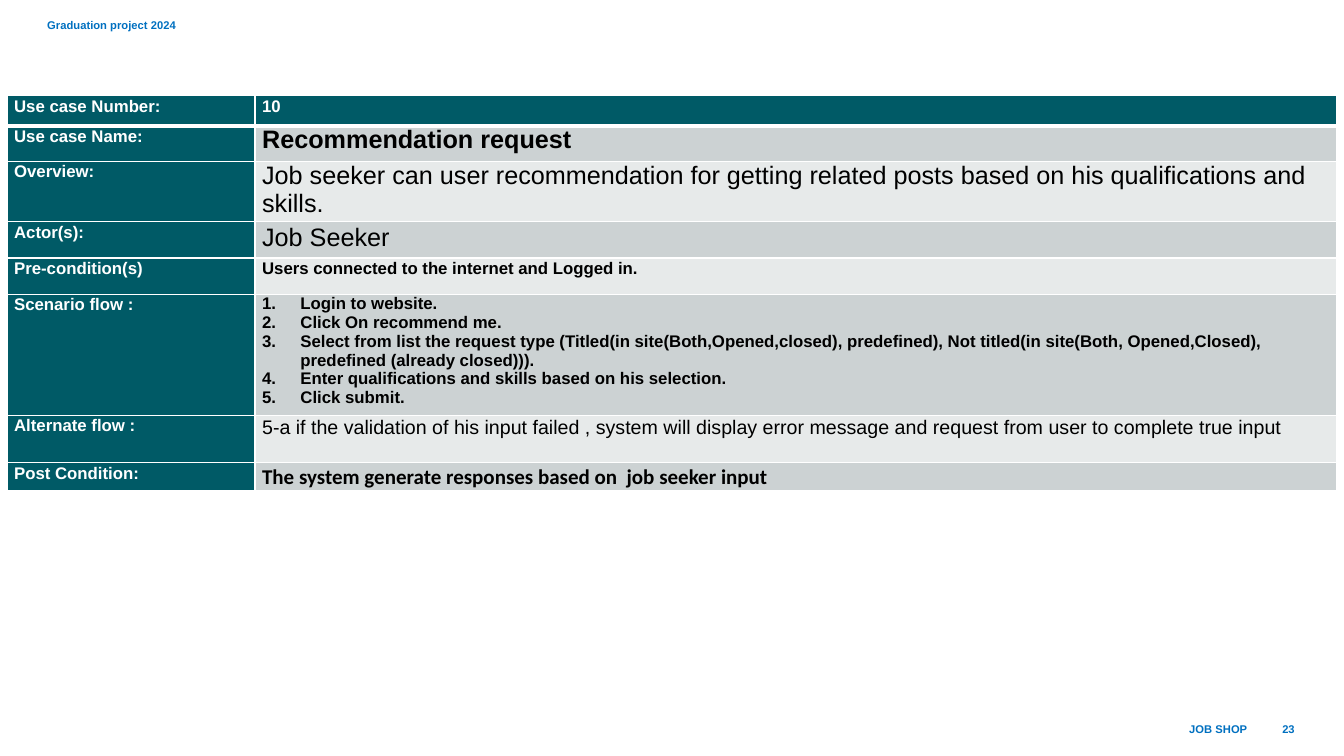
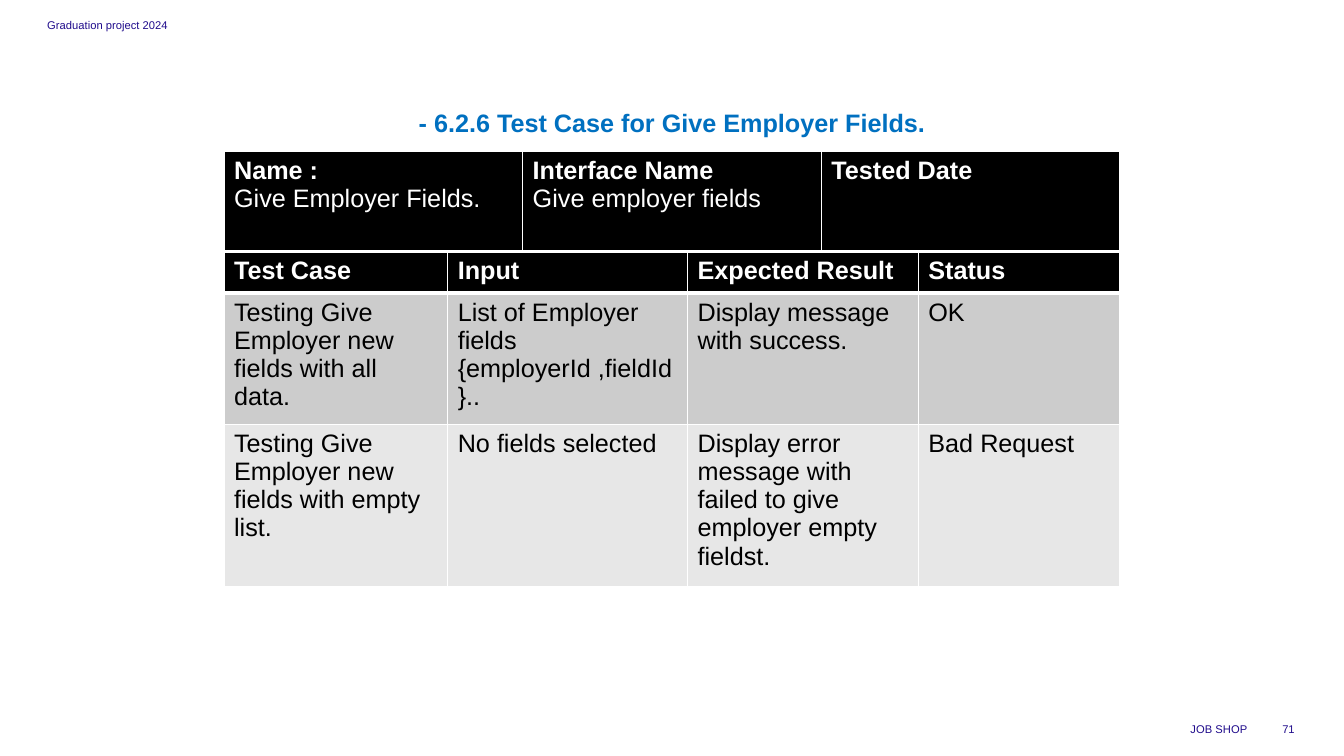
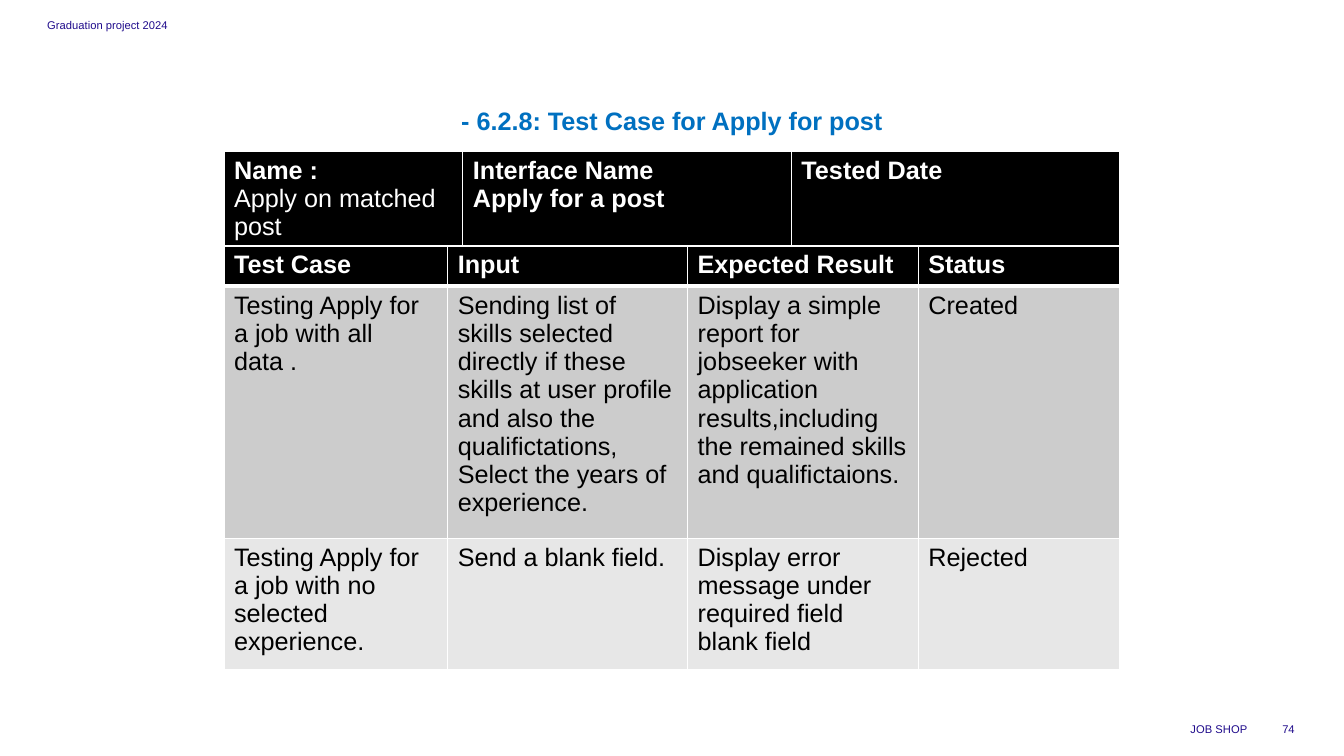
from dataclasses import dataclass
from typing import Optional, Sequence

from lxml import etree
from pptx import Presentation
from pptx.dml.color import RGBColor
from pptx.enum.text import MSO_ANCHOR, MSO_AUTO_SIZE, PP_ALIGN
from pptx.oxml.ns import qn
from pptx.util import Inches, Pt

LEFT, CENTER, RIGHT = PP_ALIGN.LEFT, PP_ALIGN.CENTER, PP_ALIGN.RIGHT
TOP, MIDDLE = MSO_ANCHOR.TOP, MSO_ANCHOR.MIDDLE
FIXED = MSO_AUTO_SIZE.NONE

SLIDE_W, SLIDE_H = 13.33, 7.5
TITLE_ONLY, BLANK = 5, 6
WHITE, BLACK = "FFFFFF", "000000"
BLUE, INDIGO, TEAL = "0070C0", "200C8C", "005A66"
TEAL_BANDS = ("CCD2D3", "E7EAEA")
GREY_BANDS = ("CCCCCC", "E7E7E7")
TEST_LEFT, TEST_W, TEST_TOP = SLIDE_W / 6, SLIDE_W * 2 / 3, 1.5
DETAIL_SHARES = (2.22, 2.38, 2.29, 2)
DETAIL_HEADINGS = ("Test Case", "Input", "Expected Result", "Status")
INDENT = 0.38


@dataclass
class Entry:
    text: str
    size: float = 18
    color: str = BLACK
    fill: str = BLACK
    bold: bool = False
    tail_bold: Optional[bool] = None
    font: str = "Arial"
    spacing: Optional[float] = None
    numbered: bool = False


@dataclass
class UseCaseRow:
    label: str
    height: float
    value: str
    size: float = 12
    bold: bool = True
    font: str = "Arial"
    spacing: Optional[float] = 1.07
    numbered: bool = False


@dataclass
class TestCase:
    title: str
    title_top: float
    page: int
    summary: Sequence[Entry]
    summary_shares: Sequence[float]
    summary_height: float
    detail_heights: Sequence[float]
    checks: Sequence[Sequence[str]]


def rgb(code: str) -> RGBColor:
    return RGBColor.from_string(code)


def write(frame, text: str, *, size: float = 18, color: str = BLACK,
          bold: bool = False, tail_bold: Optional[bool] = None,
          font: str = "Arial", align=LEFT,
          spacing: Optional[float] = None, numbered: bool = False) -> None:
    frame.word_wrap = True
    for index, line in enumerate(text.split("\n")):
        paragraph = frame.add_paragraph() if index else frame.paragraphs[0]
        paragraph.alignment = align
        paragraph.line_spacing = spacing
        if numbered:
            properties = paragraph._p.get_or_add_pPr()
            properties.set("marL", str(Inches(INDENT)))
            properties.set("indent", str(-Inches(INDENT)))
            etree.SubElement(properties, qn("a:buAutoNum"), type="arabicPeriod")
        run = paragraph.add_run()
        run.text = line
        run.font.name = font
        run.font.size = Pt(size)
        run.font.bold = tail_bold if index and tail_bold is not None else bold
        run.font.color.rgb = rgb(color)


def set_borders(cell, top: float, bottom: float) -> None:
    properties = cell._tc.get_or_add_tcPr()
    widths = (("a:lnL", 1), ("a:lnR", 1), ("a:lnT", top), ("a:lnB", bottom))
    for position, (side, width) in enumerate(widths):
        line = etree.Element(qn(side), w=str(Pt(width)))
        paint = etree.SubElement(line, qn("a:solidFill"))
        etree.SubElement(paint, qn("a:srgbClr"), val=WHITE)
        properties.insert(position, line)


def draw_table(slide, left: float, top: float, width: float,
               shares: Sequence[float], heights: Sequence[float],
               rows: Sequence[Sequence[Entry]],
               margins: tuple[float, float] = (0.1, 0.05)) -> None:
    table = slide.shapes.add_table(
        len(rows), len(shares), Inches(left), Inches(top),
        Inches(width), Inches(sum(heights))).table
    table.first_row = table.horz_banding = False
    for column, share in zip(table.columns, shares):
        column.width = Inches(width * share / sum(shares))
    for r, (height, entries) in enumerate(zip(heights, rows)):
        table.rows[r].height = Inches(height)
        for c, entry in enumerate(entries):
            cell = table.cell(r, c)
            cell.margin_left = cell.margin_right = Inches(margins[0])
            cell.margin_top = cell.margin_bottom = Inches(margins[1])
            cell.fill.solid()
            cell.fill.fore_color.rgb = rgb(entry.fill)
            set_borders(cell, 3 if r == 1 else 1, 3 if r == 0 else 1)
            write(cell.text_frame, entry.text, size=entry.size,
                  color=entry.color, bold=entry.bold,
                  tail_bold=entry.tail_bold, font=entry.font,
                  spacing=entry.spacing, numbered=entry.numbered)


def draw_margin_texts(slide, page: int, color: str, bold: bool) -> None:
    for text, left, top, width, height, align in (
            ("Graduation project 2024", 0.37, 0.07, 3, 0.35, LEFT),
            ("JOB SHOP", 8.03, 7.03, 4.44, 0.4, RIGHT),
            (str(page), 12.47, 7.03, 0.47, 0.4, RIGHT)):
        frame = slide.shapes.add_textbox(
            Inches(left), Inches(top), Inches(width), Inches(height)).text_frame
        frame.vertical_anchor = MIDDLE
        write(frame, text, size=8, color=color, bold=bold, align=align)


def draw_title(slide, text: str, top: float) -> None:
    title = slide.shapes.title
    title.left, title.top = Inches(0), Inches(top)
    title.width, title.height = Inches(SLIDE_W), Inches(0.4)
    title.text_frame.vertical_anchor = TOP
    title.text_frame.auto_size = FIXED
    write(title.text_frame, text, color=BLUE, bold=True, align=CENTER)


def heading(text: str, tail_bold: Optional[bool] = None) -> Entry:
    return Entry(text, color=WHITE, bold=True, tail_bold=tail_bold)


def use_case_entries(index: int, row: UseCaseRow) -> list[Entry]:
    label = Entry(row.label, 12, WHITE, TEAL, True, spacing=1.07)
    value_color = BLACK if index else WHITE
    value_fill = TEAL_BANDS[(index - 1) % 2] if index else TEAL
    value = Entry(row.value, row.size, value_color, value_fill, row.bold,
                  font=row.font, spacing=row.spacing, numbered=row.numbered)
    return [label, value]


USE_CASE = (
    UseCaseRow("Use case Number:", 0.3, "10"),
    UseCaseRow("Use case Name:", 0.35, "Recommendation request", 18, spacing=None),
    UseCaseRow("Overview:", 0.57,
               "Job seeker can user recommendation for getting related posts "
               "based on his qualifications and skills.",
               18, False, spacing=None),
    UseCaseRow("Actor(s):", 0.36, "Job Seeker", 18, False),
    UseCaseRow("Pre-condition(s)", 0.36,
               "Users connected to the internet and Logged in."),
    UseCaseRow("Scenario flow :", 1.12,
               "Login to website.\n"
               "Click On recommend me.\n"
               "Select from list the request type (Titled(in site(Both,Opened,closed), "
               "predefined), Not titled(in site(Both, Opened,Closed), "
               "predefined (already closed))).\n"
               "Enter qualifications and skills based on his selection.\n"
               "Click submit.",
               spacing=None, numbered=True),
    UseCaseRow("Alternate flow :", 0.47,
               "5-a if the validation of his input failed , system will display "
               "error message and request from user to complete true input",
               14, False),
    UseCaseRow("Post Condition:", 0.28,
               "The system generate responses based on  job seeker input",
               15, font="Calibri"),
)

TEST_CASES = (
    TestCase(
        "- 6.2.6 Test Case for Give Employer Fields.", 1.01, 71,
        (heading("Name :\nGive Employer Fields.", False),
         heading("Interface Name\nGive employer fields", False),
         heading("Tested Date")),
        (1, 1, 1), 1, (0.41, 1.3, 1.61),
        (("Testing Give Employer new fields with all data.",
          "List of Employer fields {employerId ,fieldId}..",
          "Display message with success.", "OK"),
         ("Testing Give Employer new fields with empty list.",
          "No fields selected",
          "Display error message with failed to give employer empty fieldst.",
          "Bad Request"))),
    TestCase(
        "- 6.2.8: Test Case for Apply for post", 0.99, 74,
        (heading("Name :\nApply on matched post", False),
         heading("Interface Name\nApply for a post"),
         heading("Tested Date")),
        (2.37, 3.26, 3.26), 0.94, (0.4, 2.5, 1.3),
        (("Testing Apply for a job with all data .",
          "Sending list of skills selected directly if these skills at user "
          "profile and also the qualifictations,\n"
          "Select the years of experience.",
          "Display a simple report for jobseeker with application "
          "results,including the remained skills and qualifictaions.",
          "Created"),
         ("Testing Apply for a job with no selected experience.",
          "Send a blank field.",
          "Display error message under required field blank field",
          "Rejected"))),
)


def build_use_case(deck) -> None:
    slide = deck.slides.add_slide(deck.slide_layouts[BLANK])
    draw_margin_texts(slide, 23, BLUE, True)
    draw_table(slide, 0.07, 0.95, 13.19, (2.46, 10.73),
               [row.height for row in USE_CASE],
               [use_case_entries(i, row) for i, row in enumerate(USE_CASE)],
               (0.07, 0))


def build_test_case(deck, case: TestCase) -> None:
    slide = deck.slides.add_slide(deck.slide_layouts[TITLE_ONLY])
    draw_margin_texts(slide, case.page, INDIGO, False)
    draw_title(slide, case.title, case.title_top)
    draw_table(slide, TEST_LEFT, TEST_TOP, TEST_W, case.summary_shares,
               [case.summary_height], [case.summary])
    rows = [[heading(text) for text in DETAIL_HEADINGS]]
    rows += [[Entry(text, fill=band) for text in check]
             for check, band in zip(case.checks, GREY_BANDS)]
    draw_table(slide, TEST_LEFT, TEST_TOP + case.summary_height, TEST_W,
               DETAIL_SHARES, case.detail_heights, rows)


def main() -> None:
    deck = Presentation()
    deck.slide_width, deck.slide_height = Inches(SLIDE_W), Inches(SLIDE_H)
    build_use_case(deck)
    for case in TEST_CASES:
        build_test_case(deck, case)
    deck.save("out.pptx")


if __name__ == "__main__":
    main()
